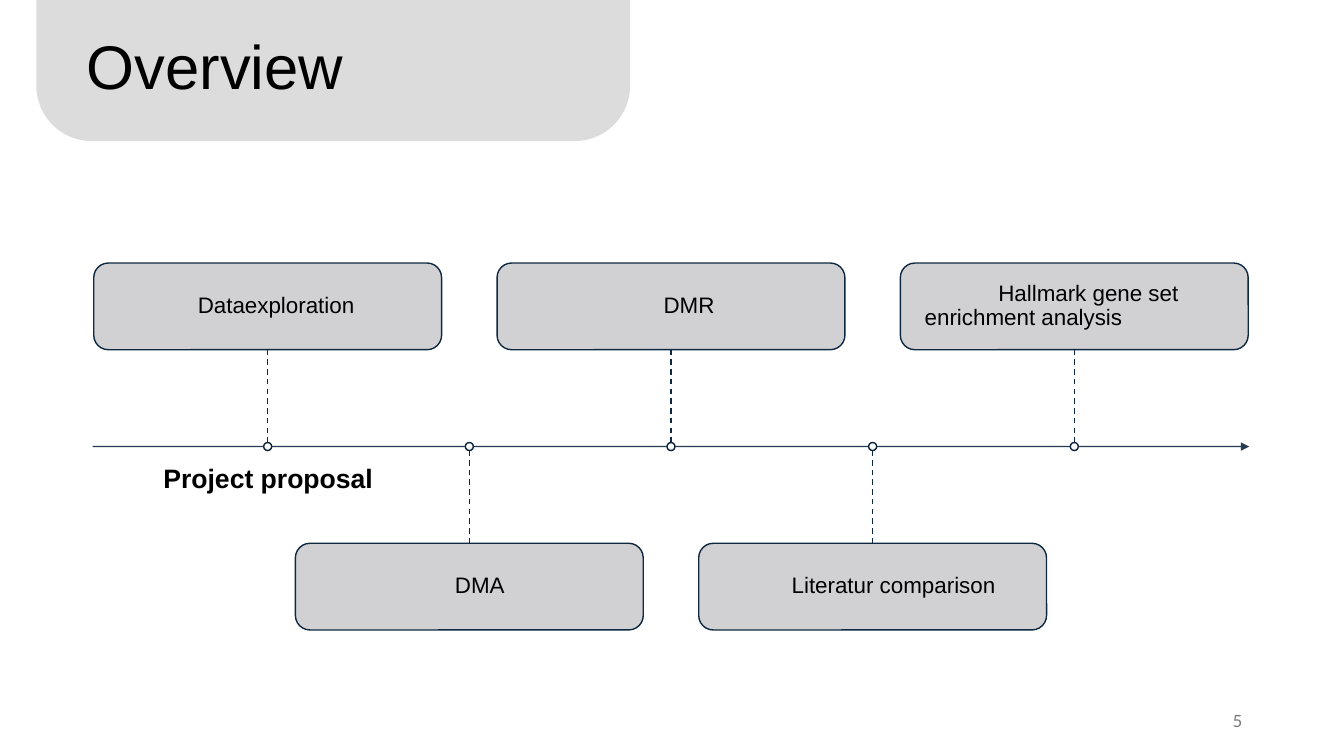
from dataclasses import dataclass

from lxml import etree
from pptx import Presentation
from pptx.dml.color import RGBColor
from pptx.enum.dml import MSO_LINE
from pptx.enum.shapes import MSO_CONNECTOR, MSO_SHAPE
from pptx.enum.text import MSO_ANCHOR, MSO_AUTO_SIZE, PP_ALIGN
from pptx.oxml.ns import qn
from pptx.util import Inches, Pt

STRAIGHT = MSO_CONNECTOR.STRAIGHT
ROUNDED, OVAL = MSO_SHAPE.ROUNDED_RECTANGLE, MSO_SHAPE.OVAL
MIDDLE, TOP = MSO_ANCHOR.MIDDLE, MSO_ANCHOR.TOP
LEFT, CENTER, RIGHT = PP_ALIGN.LEFT, PP_ALIGN.CENTER, PP_ALIGN.RIGHT

COLORS = {
    "header": "D1D1D1",
    "card": "CCCDCF",
    "line": "0E2841",
    "dot_line": "0D243B",
    "dot_start": "FFFFFF",
    "dot_end": "E3E3E3",
    "text": "000000",
    "number": "797979",
}
AXIS_LEFT, AXIS_RIGHT, AXIS_Y = 0.92, 12.39, 4.43
CARD_LEFT, CARD_STEP = 0.93, 2.0
CARD_WIDTH, CARD_HEIGHT = 3.45, 0.86
CARD_TOPS = (2.61, 5.39)
CARD_JOINS = (2, 0)
DOT_SIZE = 0.08


@dataclass
class Step:
    label: str
    first_indent: float


STEPS = [
    Step("Dataexploration", 0.79),
    Step("DMA", 1.34),
    Step("DMR", 1.41),
    Step("Literatur comparison", 0.68),
    Step("Hallmark gene set enrichment analysis", 0.73),
]


def color(name: str) -> RGBColor:
    return RGBColor.from_string(COLORS[name])


def set_alpha(fill_parent, percent: int) -> None:
    """Make the first solid colour below an element translucent."""
    rgb = fill_parent.find(f"{qn('a:solidFill')}/{qn('a:srgbClr')}")
    etree.SubElement(rgb, qn("a:alpha")).set("val", str(percent * 1000))


def write(shape, text: str, size: float, anchor=MIDDLE, align=LEFT, inset=None,
          font_name="Arial", font_color="text", bold=False, spacing=0.9):
    frame = shape.text_frame
    frame_format = {"word_wrap": True, "auto_size": MSO_AUTO_SIZE.NONE,
                    "vertical_anchor": anchor}
    if inset is not None:
        for side in ("left", "top", "right", "bottom"):
            frame_format[f"margin_{side}"] = Inches(inset)
    for key, value in frame_format.items():
        setattr(frame, key, value)
    para = frame.paragraphs[0]
    para.alignment, para.line_spacing = align, spacing
    span = para.add_run()
    span.text = text
    for key, value in {"name": font_name, "size": Pt(size), "bold": bold}.items():
        setattr(span.font, key, value)
    span.font.color.rgb = color(font_color)
    return para


def add_panel(page, left: float, top: float, width: float, height: float,
              fill: str, alpha: int):
    panel = page.shapes.add_shape(ROUNDED, Inches(left), Inches(top),
                                  Inches(width), Inches(height))
    panel.shadow.inherit = False
    panel.fill.solid()
    panel.fill.fore_color.rgb = color(fill)
    set_alpha(panel._element.spPr, alpha)
    return panel


def add_line(page, x1: float, y1: float, x2: float, y2: float):
    line = page.shapes.add_connector(STRAIGHT, Inches(x1), Inches(y1),
                                     Inches(x2), Inches(y2))
    line.line.color.rgb = color("line")
    line.line.width = Pt(1)
    etree.SubElement(line._element.spPr, qn("a:effectLst"))
    return line


def add_axis(page) -> None:
    axis = add_line(page, AXIS_LEFT, AXIS_Y, AXIS_RIGHT, AXIS_Y)
    outline = axis.line._get_or_add_ln()
    set_alpha(outline, 90)
    etree.SubElement(outline, qn("a:tailEnd")).set("type", "triangle")


def add_dot(page, center: float) -> None:
    dot = page.shapes.add_shape(OVAL, Inches(center - DOT_SIZE / 2),
                                Inches(AXIS_Y - DOT_SIZE / 2),
                                Inches(DOT_SIZE), Inches(DOT_SIZE))
    dot.shadow.inherit = False
    dot.fill.gradient()
    dot.fill.gradient_angle = 270
    stops = ((0.5, "dot_start"), (1.0, "dot_end"))
    for stop, (position, name) in zip(dot.fill.gradient_stops, stops):
        stop.position = position
        stop.color.rgb = color(name)
    dot.line.color.rgb = color("dot_line")
    dot.line.width = Pt(1)


def add_step(page, index: int, step: Step) -> None:
    """Draw a card above or below the axis, tied to its dot."""
    row = index % 2
    left = CARD_LEFT + index * CARD_STEP
    center = left + CARD_WIDTH / 2
    card = add_panel(page, left, CARD_TOPS[row], CARD_WIDTH, CARD_HEIGHT, "card", 90)
    card.line.color.rgb = color("line")
    card.line.width = Pt(1)
    para = write(card, step.label, 16, inset=0.2)
    para._p.get_or_add_pPr().set("indent", str(Inches(step.first_indent)))
    stem = add_line(page, center, CARD_TOPS[row], center, AXIS_Y)
    stem.begin_connect(card, CARD_JOINS[row])
    stem.line.dash_style = MSO_LINE.DASH
    add_dot(page, center)


def add_text(page, left: float, top: float, width: float, height: float,
             text: str, size: float, **text_format) -> None:
    box = page.shapes.add_textbox(Inches(left), Inches(top),
                                  Inches(width), Inches(height))
    write(box, text, size, **text_format)


def main() -> None:
    deck = Presentation()
    deck.slide_width, deck.slide_height = Inches(13.33), Inches(7.5)
    page = deck.slides.add_slide(deck.slide_layouts[5])

    header = add_panel(page, 0.36, -1.91, 5.89, 3.31, "header", 75)
    header.line.fill.background()
    title = page.shapes.title
    title._element.addprevious(header._element)
    place = {"left": 0.76, "top": 0, "width": 5.91, "height": 1.38}
    for key, value in place.items():
        setattr(title, key, Inches(value))
    write(title, "Overview", 44)

    add_text(page, 9.42, 6.95, 3, 0.4, "5", 12, align=RIGHT,
             font_name="Lato", font_color="number", spacing=1.0)
    add_axis(page)
    add_text(page, 1.14, 4.62, 3.04, 0.57, "Project proposal", 19,
             anchor=TOP, align=CENTER, inset=0, bold=True)
    for index, step in enumerate(STEPS):
        add_step(page, index, step)
    deck.save("out.pptx")


if __name__ == "__main__":
    main()
